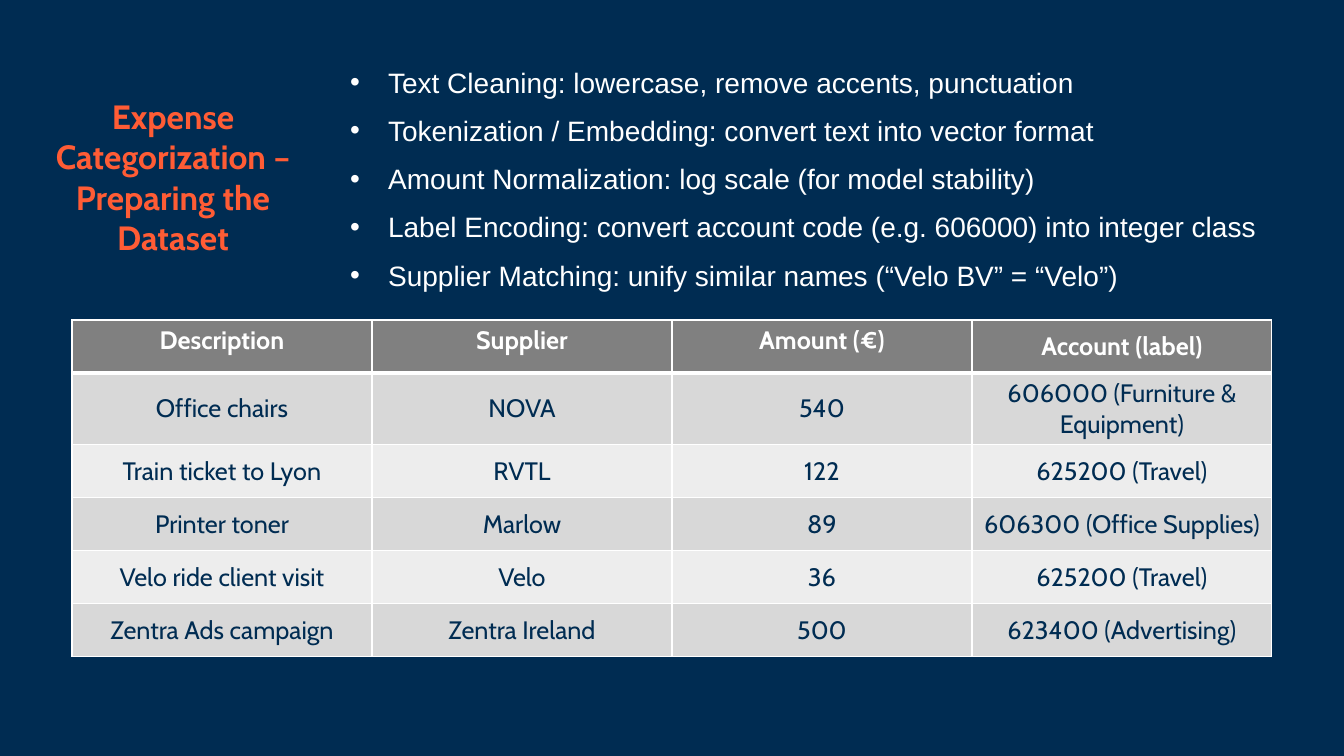
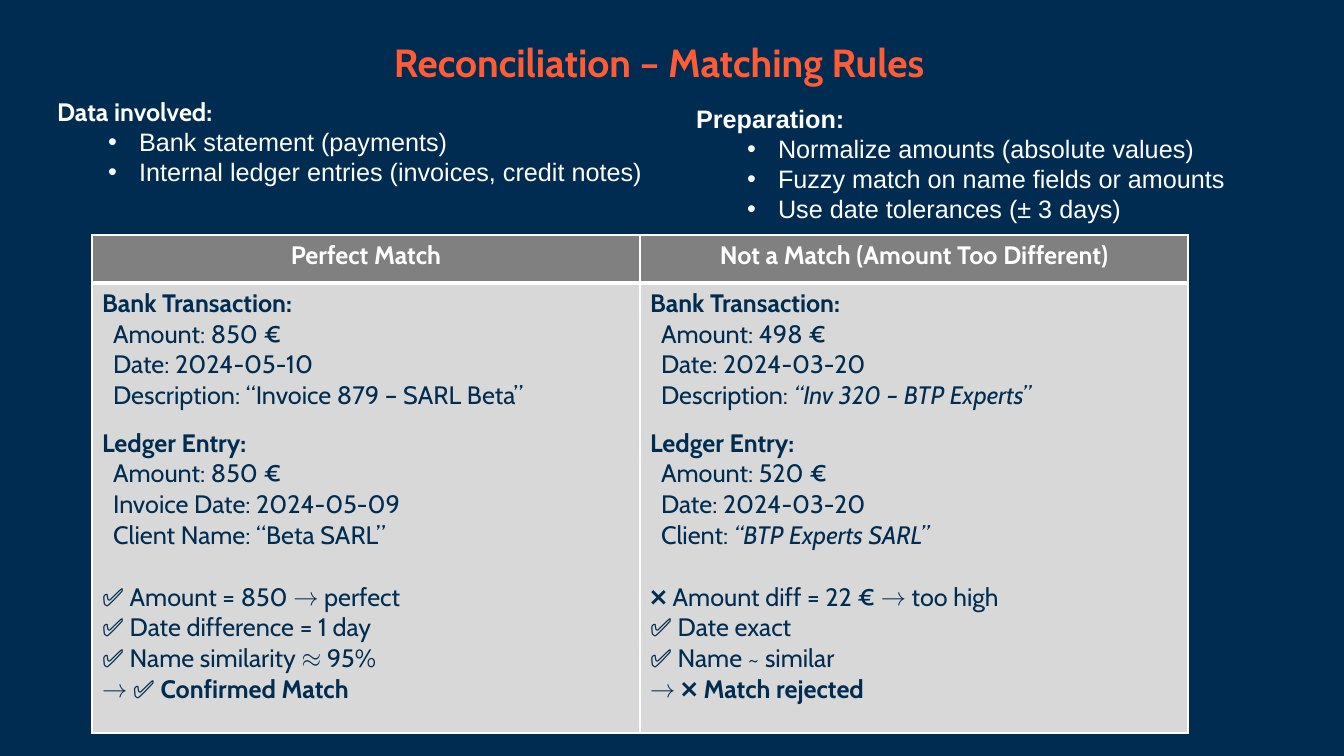
from lxml.etree import SubElement
from pptx import Presentation
from pptx.dml.color import RGBColor
from pptx.enum.text import MSO_ANCHOR as Anchor, MSO_AUTO_SIZE as AutoSize, PP_ALIGN as Align
from pptx.oxml import parse_xml
from pptx.oxml.ns import nsdecls, qn
from pptx.util import Emu, Pt

# Shared look
NAVY = RGBColor(0x00, 0x2C, 0x52)
ORANGE = RGBColor(0xFF, 0x5C, 0x35)
WHITE = RGBColor(0xFF, 0xFF, 0xFF)
HEADER_GRAY = RGBColor(0x80, 0x80, 0x80)
BANDS = [RGBColor(0xD8, 0xD8, 0xD8), RGBColor(0xED, 0xED, 0xED)]
CABIN, ARIAL = "Cabin", "Arial"
TABLE_SIZE = 18
DETAIL_INDENT = 11
SLIDE_WIDTH, SLIDE_HEIGHT = 1344, 756
PX = 12192000 / SLIDE_WIDTH

# Slide 1 content
DATASET_TITLE = "Expense Categorization – Preparing the Dataset"
DATASET_STEPS = [
    "Text Cleaning: lowercase, remove accents, punctuation",
    "Tokenization / Embedding: convert text into vector format",
    "Amount Normalization: log scale (for model stability)",
    "Label Encoding: convert account code (e.g. 606000) into integer class",
    "Supplier Matching: unify similar names (“Velo BV” = “Velo”)",
]
EXPENSES = [
    ("Description", "Supplier", "Amount (€)", "Account (label)"),
    ("Office chairs", "NOVA", "540", "606000 (Furniture & Equipment)"),
    ("Train ticket to Lyon", "RVTL", "122", "625200 (Travel)"),
    ("Printer toner", "Marlow", "89", "606300 (Office Supplies)"),
    ("Velo ride client visit", "Velo", "36", "625200 (Travel)"),
    ("Zentra Ads campaign", "Zentra Ireland", "500", "623400 (Advertising)"),
]
EXPENSE_ROWS = [53, 71, 53, 53, 53, 53]

# Slide 2 content
RULES_TITLE = "Reconciliation – Matching Rules"
DATA_INVOLVED = ["Bank statement (payments)",
                 "Internal ledger entries (invoices, credit notes)"]
PREPARATION = ["Normalize amounts (absolute values)",
               "Fuzzy match on name fields or amounts",
               "Use date tolerances (± 3 days)"]
# Each line: kind, plain text, emphasised ending
MATCHES = {
    "Perfect Match": [
        ("heading", "", "Bank Transaction:"),
        ("detail", "Amount: 850 €", ""),
        ("detail", "Date: 2024-05-10", ""),
        ("detail", "Description: “Invoice 879 – SARL Beta”", ""),
        ("heading", "", "Ledger Entry:"),
        ("detail", "Amount: 850 €", ""),
        ("detail", "Invoice Date: 2024-05-09", ""),
        ("detail", "Client Name: “Beta SARL”", ""),
        ("check", "✅ Amount = 850 → perfect", ""),
        ("check", "✅ Date difference = 1 day", ""),
        ("check", "✅ Name similarity ≈ 95%", ""),
        ("verdict", "→ ✅ ", "Confirmed Match"),
    ],
    "Not a Match (Amount Too Different)": [
        ("heading", "", "Bank Transaction:"),
        ("detail", "Amount: 498 €", ""),
        ("detail", "Date: 2024-03-20", ""),
        ("detail", "Description: ", "“Inv 320 – BTP Experts”"),
        ("heading", "", "Ledger Entry:"),
        ("detail", "Amount: 520 €", ""),
        ("detail", "Date: 2024-03-20", ""),
        ("detail", "Client: ", "“BTP Experts SARL”"),
        ("check", "❌ Amount diff = 22 € → too high", ""),
        ("check", "✅ Date exact", ""),
        ("check", "✅ Name ~ similar", ""),
        ("verdict", "→ ❌ ", "Match rejected"),
    ],
}
GROUP_GAPS = {"heading": 12, "check": 22}


def px(length):
    return Emu(round(length * PX))


def style_run(run, size, color, name=CABIN, bold=False, italic=False):
    font = run.font
    font.name, font.size, font.bold, font.italic = name, Pt(size), bold, italic
    font.color.rgb = color


def place(shape, left, top, width, height):
    shape.left, shape.top = px(left), px(top)
    shape.width, shape.height = px(width), px(height)


def set_indent(paragraph, margin, hanging=0):
    properties = paragraph._p.get_or_add_pPr()
    properties.set("marL", str(px(margin)))
    properties.set("indent", str(-px(hanging)))
    return properties


def prepare_frame(shape, box):
    place(shape, *box)
    frame = shape.text_frame
    frame.word_wrap = True
    frame.auto_size = AutoSize.NONE
    frame.vertical_anchor = Anchor.TOP
    return frame


def set_title(slide, text, box, size):
    frame = prepare_frame(slide.shapes.title, box)
    frame.text = text
    paragraph = frame.paragraphs[0]
    paragraph.alignment = Align.CENTER
    style_run(paragraph.runs[0], size, ORANGE, bold=True)


def fill_list(shape, box, bullets, size, margin, hanging, gap=0,
              heading=None, heading_font=CABIN):
    frame = prepare_frame(shape, box)
    lines = ([heading] if heading else []) + bullets
    for index, line in enumerate(lines):
        paragraph = frame.paragraphs[0] if index == 0 else frame.add_paragraph()
        paragraph.text = line
        is_heading = line == heading
        if is_heading:
            SubElement(set_indent(paragraph, 0), qn("a:buNone"))
        else:
            paragraph.level = 1
            properties = set_indent(paragraph, margin, hanging)
            SubElement(properties, qn("a:buFont"), typeface=ARIAL)
            SubElement(properties, qn("a:buChar"), char="•")
        paragraph.space_before = Pt(gap if index else 0)
        style_run(paragraph.runs[0], size, WHITE,
                  heading_font if is_heading else ARIAL, bold=is_heading)


def set_borders(cell, row):
    properties = cell._tc.get_or_add_tcPr()
    widths = {"L": 1, "R": 1, "T": 3 if row == 1 else 1, "B": 3 if row == 0 else 1}
    for index, (side, width) in enumerate(widths.items()):
        properties.insert(index, parse_xml(
            f'<a:ln{side} {nsdecls("a")} w="{Pt(width)}"><a:solidFill>'
            f'<a:srgbClr val="{WHITE}"/></a:solidFill></a:ln{side}>'))


def add_grid(slide, left, top, column_width, columns, row_heights):
    frame = slide.shapes.add_table(len(row_heights), columns, px(left), px(top),
                                   px(column_width * columns), px(sum(row_heights)))
    table = frame.table
    for column in table.columns:
        column.width = px(column_width)
    for row, height in enumerate(row_heights):
        table.rows[row].height = px(height)
        for cell in table.rows[row].cells:
            cell.fill.solid()
            cell.fill.fore_color.rgb = BANDS[(row - 1) % 2] if row else HEADER_GRAY
            set_borders(cell, row)
    return table


def fill_cell(cell, text, is_header):
    cell.text = text
    paragraph = cell.text_frame.paragraphs[0]
    paragraph.alignment = Align.CENTER
    style_run(paragraph.runs[0], TABLE_SIZE, WHITE if is_header else NAVY, bold=is_header)


def fill_match(cell, lines):
    frame = cell.text_frame
    previous = None
    for kind, plain, emphasis in lines:
        paragraph = frame.add_paragraph() if previous else frame.paragraphs[0]
        if previous and kind != previous:
            paragraph.space_before = Pt(GROUP_GAPS.get(kind, 0))
        if kind == "detail":
            set_indent(paragraph, DETAIL_INDENT)
        if plain:
            run = paragraph.add_run()
            run.text = plain
            style_run(run, TABLE_SIZE, NAVY)
        if emphasis:
            run = paragraph.add_run()
            run.text = emphasis
            style_run(run, TABLE_SIZE, NAVY, bold=kind != "detail", italic=kind == "detail")
        previous = kind


def build_dataset_slide(presentation):
    slide = presentation.slides.add_slide(presentation.slide_layouts[1])
    set_title(slide, DATASET_TITLE, (20, 91, 306, 173), 24)
    fill_list(slide.placeholders[1], (289, 60, 1034, 235), DATASET_STEPS,
              size=20, margin=89, hanging=38, gap=10.5)
    table = add_grid(slide, 72, 320, 300, len(EXPENSES[0]), EXPENSE_ROWS)
    for row, values in enumerate(EXPENSES):
        for column, value in enumerate(values):
            cell = table.cell(row, column)
            fill_cell(cell, value, is_header=row == 0)
            centred = row > 0 or column == len(values) - 1
            cell.vertical_anchor = Anchor.MIDDLE if centred else Anchor.TOP


def build_rules_slide(presentation):
    slide = presentation.slides.add_slide(presentation.slide_layouts[3])
    set_title(slide, RULES_TITLE, (323, 33, 672, 57), 28)
    indents = {"size": 18, "margin": 82, "hanging": 31}
    fill_list(slide.placeholders[1], (47, 91, 621, 130), DATA_INVOLVED,
              heading="Data involved:", **indents)
    fill_list(slide.placeholders[2], (686, 98, 648, 132), PREPARATION,
              heading="Preparation:", heading_font=ARIAL, **indents)
    table = add_grid(slide, 92, 235, 548, len(MATCHES), [48, 450])
    for column, (header, lines) in enumerate(MATCHES.items()):
        fill_cell(table.cell(0, column), header, is_header=True)
        fill_match(table.cell(1, column), lines)


def main():
    presentation = Presentation()
    presentation.slide_width, presentation.slide_height = px(SLIDE_WIDTH), px(SLIDE_HEIGHT)
    background = presentation.slide_master.background.fill
    background.solid()
    background.fore_color.rgb = NAVY
    build_dataset_slide(presentation)
    build_rules_slide(presentation)
    presentation.save("out.pptx")


if __name__ == "__main__":
    main()
